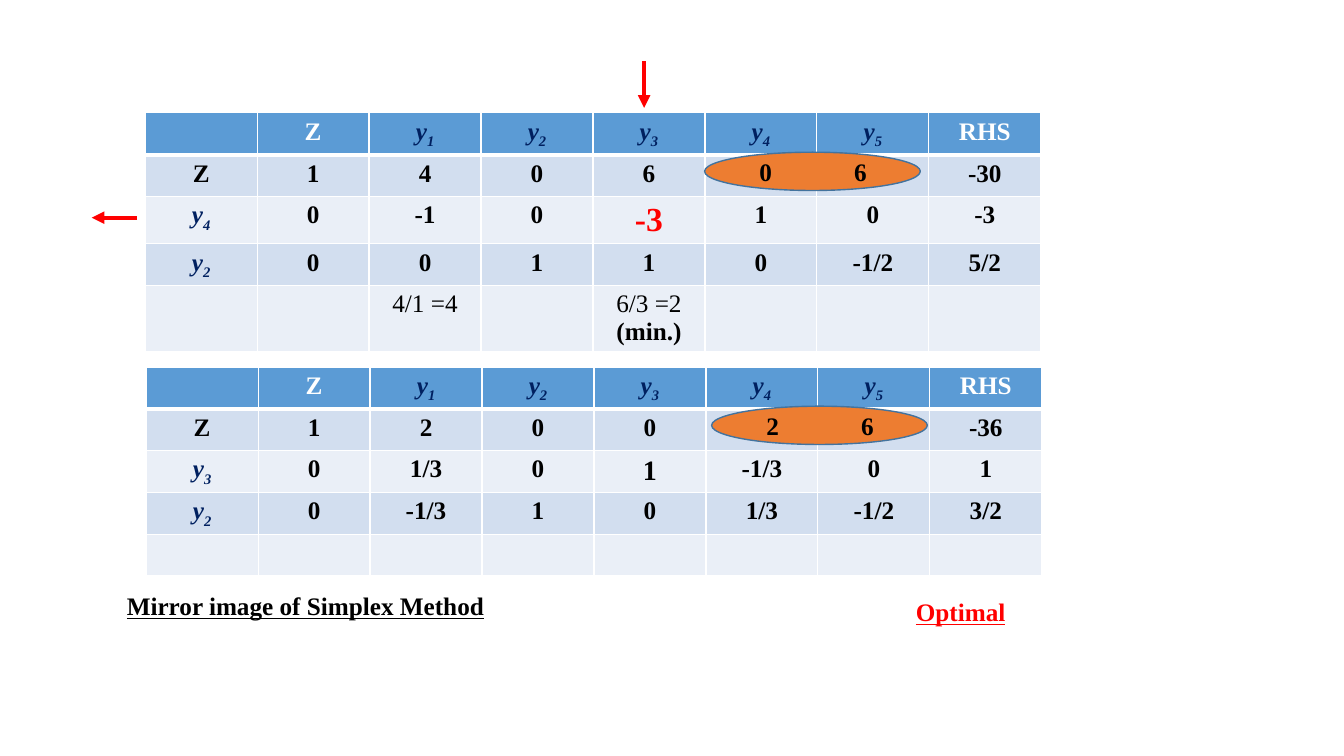
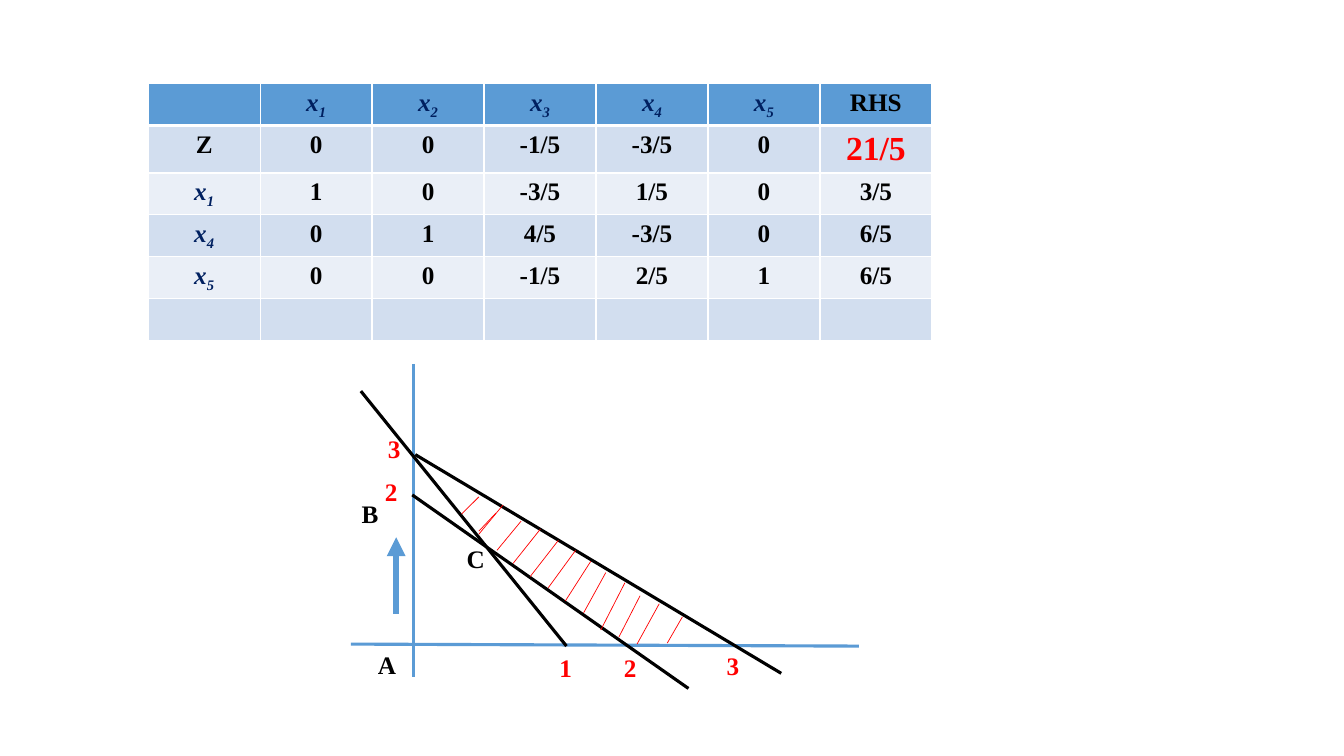
from lxml import etree
from pptx import Presentation
from pptx.dml.color import RGBColor
from pptx.enum.shapes import MSO_CONNECTOR, MSO_SHAPE
from pptx.enum.text import MSO_ANCHOR, MSO_AUTO_SIZE, PP_ALIGN
from pptx.oxml.ns import qn
from pptx.util import Inches, Pt

LEFT, CENTER = PP_ALIGN.LEFT, PP_ALIGN.CENTER
MIDDLE = MSO_ANCHOR.MIDDLE
FIT_SHAPE = MSO_AUTO_SIZE.SHAPE_TO_FIT_TEXT
STRAIGHT = MSO_CONNECTOR.STRAIGHT
OVAL = MSO_SHAPE.OVAL

FONT, SIZE = "Times New Roman", 18
WHITE, BLACK, RED, NAVY = "FFFFFF", "000000", "FF0000", "002060"
BLUE, ORANGE, OUTLINE = "5B9BD5", "ED7D31", "43739E"
BANDS = ("D2DEEF", "EAEFF7")
COLUMN, ROW = 11.11, 4.1  # table cell, in grid units
BLANK_LAYOUT = 6


def grid(n):
    """Length of n units of the slide grid, ten units to the inch."""
    return Inches(n / 10)


def rgb(color):
    return RGBColor.from_string(color)


class Deck:
    def __init__(self):
        self.prs = Presentation()
        self.prs.slide_width, self.prs.slide_height = grid(133.33), grid(75)

    def new_slide(self):
        self.s = self.prs.slides.add_slide(self.prs.slide_layouts[BLANK_LAYOUT])

    def style(self, r, color=BLACK, size=SIZE, bold=True, underline=None):
        f = r.font
        f.name, f.size, f.bold, f.underline = FONT, Pt(size), bold, underline
        f.color.rgb = rgb(color)

    def variable(self, p, name):
        """Write a name such as y1 in italics with its digit as a subscript."""
        for part in name:
            r = p.add_run()
            r.text = part
            self.style(r, NAVY)
            r.font.italic = True
        r.font._element.set("baseline", "-25000")

    def border(self, cell, top, bottom):
        tcPr = cell._tc.get_or_add_tcPr()
        for side, width in (("L", 1), ("R", 1), ("T", top), ("B", bottom)):
            ln = etree.SubElement(tcPr, qn("a:ln" + side), w=str(Pt(width)))
            fill = etree.SubElement(ln, qn("a:solidFill"))
            etree.SubElement(fill, qn("a:srgbClr"), val=WHITE)

    def cell(self, cell, text, color, size):
        cell.text = text
        for p in cell.text_frame.paragraphs:
            p.alignment = CENTER
            if text[:1] in ("x", "y"):
                p.text = ""
                self.variable(p, text)
            for r in p.runs if text[:1] not in ("x", "y") else ():
                self.style(r, color, size, bold="=" not in r.text)

    def table(self, x, y, rows, header_color=WHITE, accents=None):
        """accents maps (row, column) to the (colour, size) of that cell."""
        n_rows, n_cols = len(rows), len(rows[0])
        table = self.s.shapes.add_table(n_rows, n_cols, grid(x), grid(y), grid(n_cols * COLUMN),
                                        grid(n_rows * ROW)).table
        for i, row in enumerate(rows):
            for j, text in enumerate(row):
                cell = table.cell(i, j)
                self.border(cell, 3 if i == 1 else 1, 3 if i == 0 else 1)
                cell.fill.solid()
                cell.fill.fore_color.rgb = rgb(BANDS[(i - 1) % 2] if i else BLUE)
                default = (BLACK if i else header_color, SIZE)
                self.cell(cell, text, *(accents or {}).get((i, j), default))

    def line(self, x1, y1, x2, y2, color=BLACK, width=2.25, arrow=False):
        c = self.s.shapes.add_connector(STRAIGHT, grid(x1), grid(y1), grid(x2), grid(y2))
        c.line.color.rgb = rgb(color)
        c.line.width = Pt(width)
        if arrow:
            etree.SubElement(c.line._get_or_add_ln(), qn("a:tailEnd"), type="triangle")
        etree.SubElement(c._element.spPr, qn("a:effectLst"))

    def text(self, x, y, text, color=BLACK, w=2.8, align=LEFT, underline=None):
        tf = self.s.shapes.add_textbox(grid(x), grid(y), grid(w), grid(4)).text_frame
        tf.word_wrap, tf.auto_size = True, FIT_SHAPE
        tf.text = text
        p = tf.paragraphs[0]
        p.alignment = align
        self.style(p.runs[0], color, underline=underline)

    def pair(self, x, y, first, second):
        """Ellipse over two neighbouring cells, their values set apart by a tab."""
        sp = self.s.shapes.add_shape(OVAL, grid(x), grid(y), grid(21.4), grid(3.8))
        sp.shadow.inherit = False
        sp.fill.solid()
        sp.fill.fore_color.rgb = rgb(ORANGE)
        sp.line.color.rgb = rgb(OUTLINE)
        sp.line.width = Pt(1)
        tf = sp.text_frame
        tf.vertical_anchor = MIDDLE
        tf.margin_left = grid(2.3)
        tf.text = f"{first}\t{second}"
        p = tf.paragraphs[0]
        p.alignment = LEFT
        tabs = etree.SubElement(p._p.get_or_add_pPr(), qn("a:tabLst"))
        etree.SubElement(tabs, qn("a:tab"), pos=str(grid(9.4)), algn="l")
        self.style(p.runs[0])


def simplex_slide(deck):
    deck.new_slide()
    header = ["", "Z", "y1", "y2", "y3", "y4", "y5", "RHS"]
    deck.table(14.4, 11.2, [
        header,
        ["Z", "1", "4", "0", "6", "", "", "-30"],
        ["y4", "0", "-1", "0", "-3", "1", "0", "-3"],
        ["y2", "0", "0", "1", "1", "0", "-1/2", "5/2"],
        ["", "", "4/1 =4", "", "6/3 =2\n(min.)", "", "", ""],
    ], accents={(2, 4): (RED, 24)})
    deck.line(13.6, 21.6, 9.1, 21.6, RED, 3, arrow=True)
    deck.line(63.9, 6.1, 63.9, 10.7, RED, 3, arrow=True)
    deck.table(14.5, 36.4, [
        header,
        ["Z", "1", "2", "0", "0", "", "", "-36"],
        ["y3", "0", "1/3", "0", "1", "-1/3", "0", "1"],
        ["y2", "0", "-1/3", "1", "0", "1/3", "-1/2", "3/2"],
        [""] * len(header),
    ], accents={(2, 4): (BLACK, 20)})
    deck.pair(70.6, 40.3, "2", "6")
    deck.pair(69.9, 15.1, "0", "6")
    deck.text(11.6, 58.1, "Mirror image of Simplex Method", w=38, underline=True)
    deck.text(80.9, 58.7, "Optimal", RED, w=28.8, align=CENTER, underline=True)


def graph_slide(deck):
    deck.new_slide()
    header = ["", "x1", "x2", "x3", "x4", "x5", "RHS"]
    deck.table(14.7, 8.3, [
        header,
        ["Z", "0", "0", "-1/5", "-3/5", "0", "21/5"],
        ["x1", "1", "0", "-3/5", "1/5", "0", "3/5"],
        ["x4", "0", "1", "4/5", "-3/5", "0", "6/5"],
        ["x5", "0", "0", "-1/5", "2/5", "1", "6/5"],
        [""] * len(header),
    ], header_color=BLACK, accents={(1, 6): (RED, 24)})

    axes = [(41, 36.1, 41, 67.2), (34.8, 63.9, 85.2, 64.1)]
    constraints = [(35.8, 38.8, 56.2, 64.1), (40.9, 49.1, 68.3, 68.3), (41.2, 45.1, 77.5, 66.8)]
    hatching = [
        (45.8, 51, 47.5, 49.3), (47.5, 53, 49.9, 50.1), (49.3, 54.6, 51.7, 51.7),
        (50.9, 55.9, 53.6, 52.5), (52.6, 57.2, 55.4, 53.6), (54.4, 58.3, 57.1, 54.6),
        (56.1, 59.6, 58.6, 55.7), (57.9, 60.8, 60.1, 56.8), (59.6, 62.5, 62, 57.8),
        (61.4, 63.2, 63.5, 59.1), (63.2, 63.9, 65.4, 59.9), (66.2, 63.8, 67.7, 61.2),
        (47.5, 52.7, 49.2, 50.9),
    ]
    for lines, color, width in ((axes, BLUE, 2.25), (constraints, BLACK, 2.25),
                                (hatching, RED, 0.5)):
        for ends in lines:
            deck.line(*ends, color, width)
    deck.line(39.3, 60.9, 39.3, 53.3, BLUE, 4.5, arrow=True)

    for x, y, label in ((37.2, 46.8, "2"), (37.5, 42.5, "3"), (54.5, 64.2, "1"),
                        (71.1, 64, "3"), (60.9, 64.2, "2"), (34.9, 48.9, "B"),
                        (36.5, 63.9, "A"), (45.3, 53.4, "C")):
        deck.text(x, y, label, RED if label.isdigit() else BLACK)


def main():
    deck = Deck()
    simplex_slide(deck)
    graph_slide(deck)
    deck.prs.save("out.pptx")


if __name__ == "__main__":
    main()
